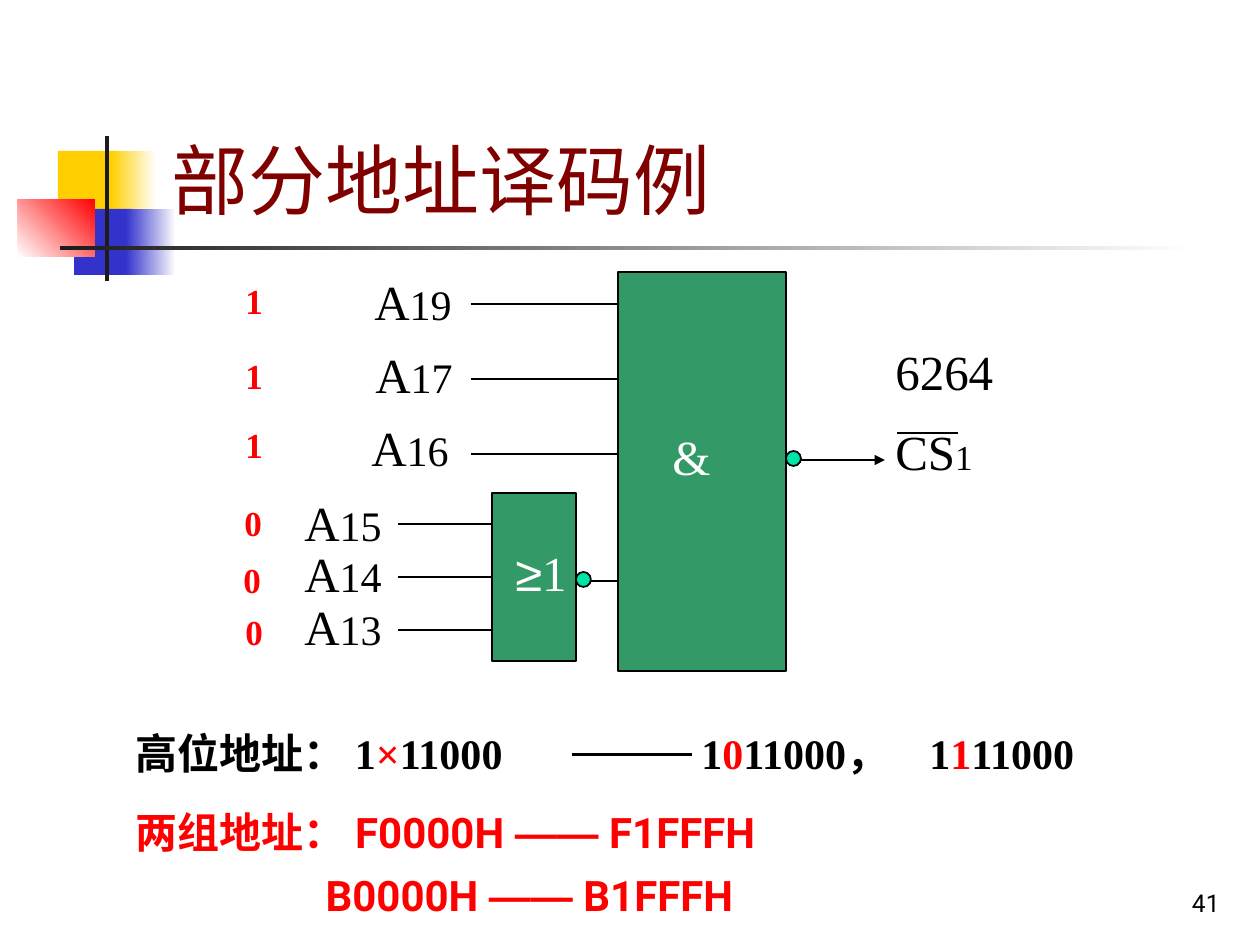
import dataclasses
import typing

import lxml.etree
import pptx
import pptx.dml.color
import pptx.enum.shapes
import pptx.enum.text
import pptx.oxml.ns
import pptx.util

EMU_PER_PX = 914400 / 126
C = {
    "black": "000000", "white": "FFFFFF", "red": "FF0000", "maroon": "800000",
    "yellow": "FFCF01", "blue": "3333CC", "ink": "1C1C1C",
    "gate": "339966", "bubble": "00E4A8",
}
SERIF = "Times New Roman"
RECT = pptx.enum.shapes.MSO_SHAPE.RECTANGLE
OVAL = pptx.enum.shapes.MSO_SHAPE.OVAL
Box = tuple[int, int, int, int]


@dataclasses.dataclass
class Run:
    text: str
    size: int
    color: str = "black"
    font: str = SERIF
    bold: bool = False


@dataclasses.dataclass
class Block:
    box: Box
    fill: str
    end: typing.Optional[str] = None
    angle: int = 0


@dataclasses.dataclass
class AddressLine:
    number: str
    bit: str
    label_at: tuple[int, int]
    bit_at: tuple[int, int]
    wire_y: int


def px(n: int) -> pptx.util.Emu:
    return pptx.util.Emu(round(n * EMU_PER_PX))


def rgb(name: str) -> pptx.dml.color.RGBColor:
    return pptx.dml.color.RGBColor.from_string(C[name])


def place(sp, box: Box) -> None:
    sp.left, sp.top, sp.width, sp.height = map(px, box)


def add_runs(p, runs: list[Run]) -> None:
    for run in runs:
        r = p.add_run()
        r.text = run.text
        r.font.size = pptx.util.Pt(run.size)
        r.font.name = run.font
        r.font.bold = run.bold
        r.font.color.rgb = rgb(run.color)


def add_text(s, box: Box, *lines: list[Run], gap: float = 0):
    sp = s.shapes.add_textbox(*map(px, box))
    tf = sp.text_frame
    tf.word_wrap = True
    for i, runs in enumerate(lines):
        p = tf.add_paragraph() if i else tf.paragraphs[0]
        if i:
            p.space_before = pptx.util.Pt(gap)
        add_runs(p, runs)
    return sp


def add_block(s, block: Block) -> None:
    sp = s.shapes.add_shape(RECT, *map(px, block.box))
    sp.shadow.inherit = False
    sp.line.fill.background()
    if block.end is None:
        sp.fill.solid()
        sp.fill.fore_color.rgb = rgb(block.fill)
        return
    sp.fill.gradient()
    sp.fill.gradient_angle = block.angle
    for stop, color in zip(sp.fill.gradient_stops, (block.fill, block.end)):
        stop.color.rgb = rgb(color)


def add_part(s, kind, box: Box, color: str):
    sp = s.shapes.add_shape(kind, *map(px, box))
    sp.shadow.inherit = False
    sp.fill.solid()
    sp.fill.fore_color.rgb = rgb(color)
    sp.line.color.rgb = rgb("black")
    sp.line.width = pptx.util.Pt(1)
    return sp


def add_wire(s, x1: int, x2: int, y: int, width: float = 1, arrow: bool = False):
    cx = s.shapes.add_connector(
        pptx.enum.shapes.MSO_CONNECTOR.STRAIGHT, px(x1), px(y), px(x2), px(y))
    cx.line.color.rgb = rgb("black")
    cx.line.width = pptx.util.Pt(width)
    if arrow:
        lxml.etree.SubElement(
            cx.line._get_or_add_ln(), pptx.oxml.ns.qn("a:tailEnd"), type="triangle")
    lxml.etree.SubElement(cx.element.spPr, pptx.oxml.ns.qn("a:effectLst"))
    return cx


def fill_title(title) -> None:
    place(title, (159, 29, 1074, 202))
    tf = title.text_frame
    tf.auto_size = pptx.enum.text.MSO_AUTO_SIZE.NONE
    tf.vertical_anchor = pptx.enum.text.MSO_ANCHOR.BOTTOM
    p = tf.paragraphs[0]
    p.alignment = pptx.enum.text.PP_ALIGN.LEFT
    add_runs(p, [Run("部分地址译码例", 44, "maroon", "Roboto")])


def fill_ranges(body) -> None:
    place(body, (123, 800, 912, 129))
    tf = body.text_frame
    tf.auto_size = pptx.enum.text.MSO_AUTO_SIZE.NONE
    ranges = [("两组地址： F0000H ", " F1FFFH", 48, -48), ("B0000H ", " B1FFFH", 190, 0)]
    for i, (first, last, margin, indent) in enumerate(ranges):
        p = tf.add_paragraph() if i else tf.paragraphs[0]
        pPr = p._p.get_or_add_pPr()
        pPr.set("marL", str(px(margin)))
        pPr.set("indent", str(px(indent)))
        lxml.etree.SubElement(pPr, pptx.oxml.ns.qn("a:buNone"))
        p.line_spacing = 1.0
        p.space_before = pptx.util.Pt(6 if i else 0)
        p.space_after = pptx.util.Pt(1.5)
        parts = [(first, "Roboto"), ("——", "Arial"), (last, "Roboto")]
        add_runs(p, [Run(text, 24, "red", font, True) for text, font in parts])


def add_address(s, box: Box, before: str, marked: str, after: str) -> None:
    parts = [(before, "black"), (marked, "red"), (after, "black")]
    add_text(s, box, [Run(text, 24, color, bold=True) for text, color in parts])


BLOCKS = [
    Block((58, 151, 60, 66), "yellow"),
    Block((111, 151, 45, 66), "yellow", "white"),
    Block((74, 209, 58, 66), "blue"),
    Block((126, 209, 50, 66), "blue", "white"),
    Block((18, 199, 77, 58), "white", "red", 45),
    Block((105, 136, 4, 145), "ink"),
    Block((60, 246, 1134, 4), "ink", "white"),
]
AND_INPUTS = [
    AddressLine("19", "1", (362, 265), (233, 273), 304),
    AddressLine("17", "1", (363, 338), (233, 348), 379),
    AddressLine("16", "1", (359, 411), (233, 417), 454),
]
OR_INPUTS = [
    AddressLine("15", "0", (292, 486), (232, 495), 524),
    AddressLine("14", "0", (292, 537), (231, 552), 577),
    AddressLine("13", "0", (292, 590), (233, 604), 630),
]


def main() -> None:
    prs = pptx.Presentation()
    prs.slide_width, prs.slide_height = px(1260), px(945)
    s = prs.slides.add_slide(prs.slide_layouts[1])
    title, body = s.shapes.title, s.placeholders[1]
    for block in BLOCKS:
        add_block(s, block)
    for sp in (title, body):
        sp.element.getparent().append(sp.element)
    fill_title(title)
    fill_ranges(body)

    number = add_text(s, (970, 861, 262, 63), [Run("41", 14, font="Roboto")])
    number.text_frame.vertical_anchor = pptx.enum.text.MSO_ANCHOR.BOTTOM
    number.text_frame.paragraphs[0].alignment = pptx.enum.text.PP_ALIGN.RIGHT

    and_gate = add_part(s, RECT, (618, 272, 168, 399), "gate")
    or_gate = add_part(s, RECT, (492, 493, 84, 168), "gate")
    for inputs, gate, x1, x2 in ((AND_INPUTS, and_gate, 471, 618), (OR_INPUTS, or_gate, 398, 492)):
        for a in inputs:
            wire = add_wire(s, x1, x2, a.wire_y)
            if px(a.wire_y) == gate.top + gate.height // 2:
                wire.end_connect(gate, 1)
            add_text(s, (*a.label_at, 126, 72), [Run("A", 28), Run(a.number, 24)])
            add_text(s, (*a.bit_at, 49, 55), [Run(a.bit, 20, "red", bold=True)])
    add_wire(s, 582, 618, 581)
    add_text(s, (660, 420, 95, 72), [Run("&", 28, "white")])
    add_text(s, (503, 536, 95, 72), [Run("≥", 28, "white", "Arial"), Run("1", 28, "white")])
    for x, y in ((576, 572), (786, 451)):
        add_part(s, OVAL, (x, y, 15, 15), "bubble")

    add_wire(s, 801, 885, 460, arrow=True)
    add_text(s, (883, 335, 126, 152), [Run("6264", 28)], [Run("CS", 28), Run("1", 20)], gap=12.5)
    add_wire(s, 897, 958, 433)

    add_address(s, (123, 721, 466, 79), "高位地址： 1", "×", "11000")
    add_address(s, (689, 721, 258, 63), "1", "0", "11000，")
    add_wire(s, 572, 692, 755, 1.75)
    add_address(s, (917, 721, 307, 63), "1", "1", "11000")
    prs.save("out.pptx")


if __name__ == "__main__":
    main()
